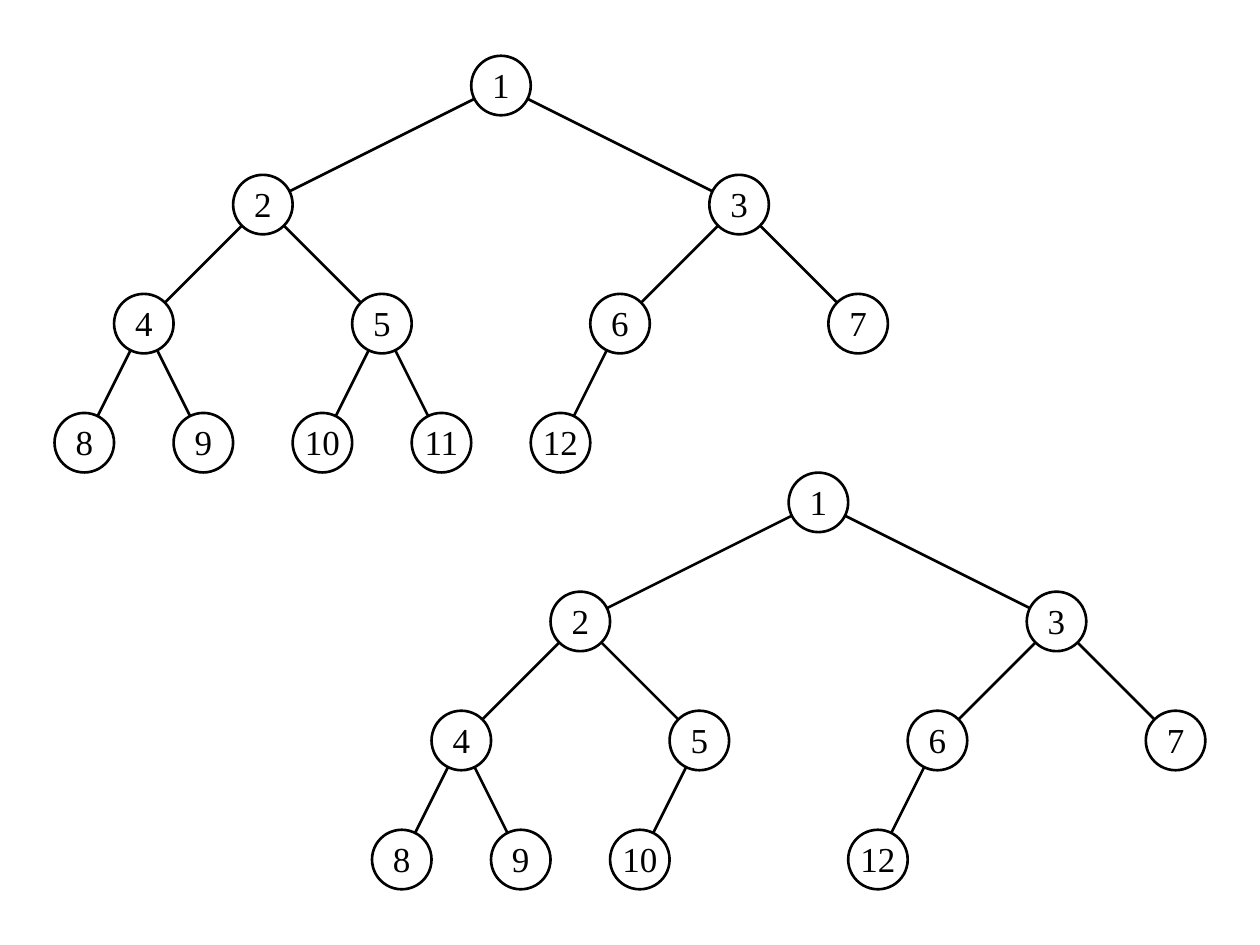
from dataclasses import dataclass

from lxml import etree
from pptx import Presentation
from pptx.dml.color import RGBColor
from pptx.enum.shapes import MSO_CONNECTOR, MSO_SHAPE
from pptx.enum.text import MSO_ANCHOR, PP_ALIGN
from pptx.oxml.ns import qn
from pptx.util import Pt

STRAIGHT = MSO_CONNECTOR.STRAIGHT
OVAL = MSO_SHAPE.OVAL
BOTTOM = MSO_ANCHOR.BOTTOM
CENTER = PP_ALIGN.CENTER
BLANK_LAYOUT = 6

NODE_SIZE = 34.02
LEVEL_GAP = 68.03
ROOT_SPREAD = 136.06


@dataclass(frozen=True)
class Theme:
    ink: RGBColor = RGBColor(0, 0, 0)
    paper: RGBColor = RGBColor(255, 255, 255)
    font: str = "Times New Roman"
    label_size: float = 20
    line_width: float = 1.5


class TreeSlide:
    def __init__(self, s, theme):
        self.s = s
        self.theme = theme

    def style_line(self, line):
        line.color.rgb = self.theme.ink
        line.width = Pt(self.theme.line_width)

    def edge(self, start, end):
        points = [Pt(v) for v in (*start, *end)]
        c = self.s.shapes.add_connector(STRAIGHT, *points)
        self.style_line(c.line)
        etree.SubElement(c._element.spPr, qn("a:effectLst"))

    def node(self, center, label):
        left, top = (v - NODE_SIZE / 2 for v in center)
        sp = self.s.shapes.add_shape(
            OVAL, Pt(left), Pt(top), Pt(NODE_SIZE), Pt(NODE_SIZE))
        sp.shadow.inherit = False
        sp.fill.solid()
        sp.fill.fore_color.rgb = self.theme.paper
        self.style_line(sp.line)
        tf = sp.text_frame
        tf.word_wrap = False
        tf.vertical_anchor = BOTTOM
        tf.margin_left = tf.margin_right = Pt(7.2 if len(label) == 1 else 0)
        tf.margin_top = 0
        tf.margin_bottom = Pt(0.7)
        p = tf.paragraphs[0]
        p.alignment = CENTER
        r = p.add_run()
        r.text = label
        r.font.name = self.theme.font
        r.font.size = Pt(self.theme.label_size)
        r.font.color.rgb = self.theme.ink

    def tree(self, root, numbers):
        """Draw a binary tree in which node n has the children 2n and 2n + 1."""
        centers = {1: root}
        for n in numbers[1:]:
            x, y = centers[n // 2]
            depth = n.bit_length() - 1
            spread = ROOT_SPREAD / 2 ** (depth - 1)
            centers[n] = (x + (spread if n % 2 else -spread), y + LEVEL_GAP)
            self.edge(centers[n // 2], centers[n])
        for n, center in centers.items():
            self.node(center, str(n))


def main():
    prs = Presentation()
    prs.slide_width, prs.slide_height = Pt(720), Pt(540)
    s = prs.slides.add_slide(prs.slide_layouts[BLANK_LAYOUT])
    slide = TreeSlide(s, Theme())
    complete = list(range(1, 13))
    slide.tree((286.3, 48.9), complete)
    slide.tree((467.7, 287.1), [n for n in complete if n != 11])
    prs.save("out.pptx")


if __name__ == "__main__":
    main()
